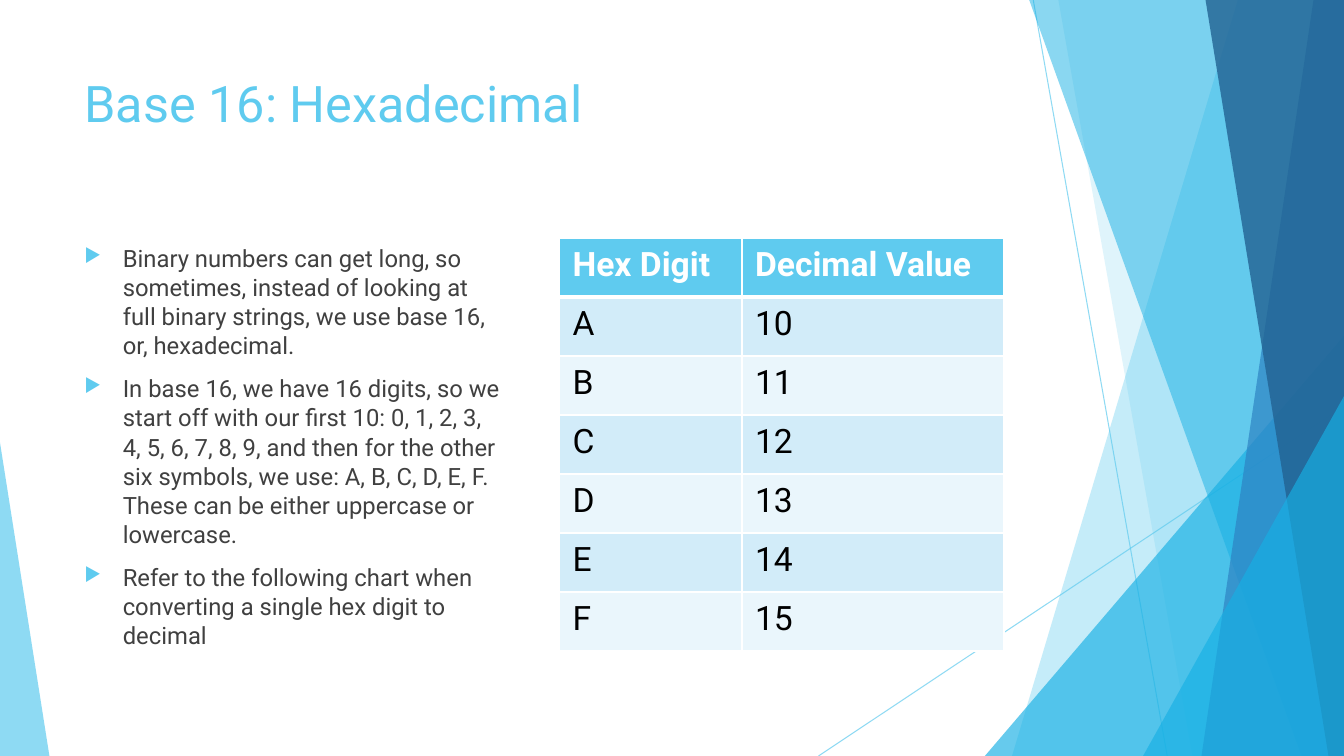
from dataclasses import dataclass

from lxml import etree
from pptx import Presentation
from pptx.dml.color import RGBColor
from pptx.enum.shapes import MSO_CONNECTOR, MSO_SHAPE
from pptx.enum.text import MSO_ANCHOR
from pptx.oxml import parse_xml
from pptx.oxml.ns import qn
from pptx.util import Inches, Pt

STRAIGHT = MSO_CONNECTOR.STRAIGHT
TRIANGLE = MSO_SHAPE.ISOSCELES_TRIANGLE
TOP = MSO_ANCHOR.TOP
FONT = "Roboto"
NS = 'xmlns:a="http://schemas.openxmlformats.org/drawingml/2006/main"'
COLORS = {
    "sky": "5FCBEF", "cyan": "17B0E4", "blue": "2E83C3", "navy": "226292",
    "text": "404040", "black": "000000", "white": "FFFFFF",
    "row_dark": "D2ECF9", "row_light": "EAF6FC",
}

prs = Presentation()
prs.slide_width, prs.slide_height = Inches(13.333), Inches(7.5)
s = prs.slides.add_slide(prs.slide_layouts[6])


# All positions are percentages of the slide's width and height.
@dataclass
class Ray:
    """A thin line between two points."""
    x1: float
    y1: float
    x2: float
    y2: float


@dataclass
class Band:
    """A slanted area reaching from its left edge to the slide's right side."""
    top_x: float
    bottom_x: float
    color: str
    alpha: int


@dataclass
class Wedge:
    """A right triangle standing on the slide's bottom."""
    left: float
    right: float
    top: float
    apex: float
    color: str
    alpha: int


RAYS = [Ray(76.88, 0, 86.85, 100), Ray(100, 53.73, 60.9, 100)]
FACETS = [
    Band(92.1, 75.3, "sky", 36),
    Band(78.75, 88.73, "sky", 20),
    Wedge(73.28, 100, 44.4, 1, "cyan", 66),
    Band(76.58, 96.83, "cyan", 50),
    Band(97.73, 89.4, "blue", 70),
    Band(89.7, 98.85, "navy", 80),
    Wedge(85.05, 100, 52.4, 1, "cyan", 66),
    Wedge(0, 3.68, 58.53, 0, "sky", 70),
]
LEFT, BODY_TOP, BODY_H = 5.55, 31.47, 54.67
TABLE_LEFT, COLUMNS = 41.63, (13.58, 19.5)
HEADERS = ("Hex Digit", "Decimal Value")
DIGITS = "ABCDEF"
BULLETS = [
    "Binary numbers can get long, so sometimes, instead of looking at full "
    "binary strings, we use base 16, or, hexadecimal.",
    "In base 16, we have 16 digits, so we start off with our first 10: 0, 1, "
    "2, 3, 4, 5, 6, 7, 8, 9, and then for the other six symbols, we use: A, B, "
    "C, D, E, F. These can be either uppercase or lowercase.",
    "Refer to the following chart when converting a single hex digit to decimal",
]


def px(share: float) -> int:
    """Turn a percentage of the slide's width into a length."""
    return int(prs.slide_width * share / 100)


def py(share: float) -> int:
    """Turn a percentage of the slide's height into a length."""
    return int(prs.slide_height * share / 100)


def rgb(name: str) -> RGBColor:
    """Look up a colour of the palette."""
    return RGBColor.from_string(COLORS[name])


def set_alpha(parent, alpha: int) -> None:
    """Give the colour inside an element an opacity in percent."""
    color = next(parent.iter(qn("a:srgbClr")))
    etree.SubElement(color, qn("a:alpha")).set("val", str(alpha * 1000))


def draw_ray(ray: Ray) -> None:
    """Draw one thin line."""
    line = s.shapes.add_connector(STRAIGHT, px(ray.x1), py(ray.y1),
                                  px(ray.x2), py(ray.y2))
    line.line.color.rgb = rgb("sky")
    line.line.width = Pt(0.75)
    sp_pr = line._element.spPr
    set_alpha(sp_pr, 70)
    etree.SubElement(sp_pr, qn("a:effectLst"))


def draw_facet(facet: Band | Wedge) -> None:
    """Draw one translucent band or triangle."""
    if isinstance(facet, Band):
        builder = s.shapes.build_freeform(px(facet.top_x), 0)
        builder.add_line_segments([(px(100), 0), (px(100), py(100)),
                                   (px(facet.bottom_x), py(100))])
        sp = builder.convert_to_shape()
    else:
        sp = s.shapes.add_shape(TRIANGLE, px(facet.left), py(facet.top),
                                px(facet.right - facet.left),
                                py(100 - facet.top))
        sp.adjustments[0] = facet.apex
    sp.shadow.inherit = False
    sp.fill.solid()
    sp.fill.fore_color.rgb = rgb(facet.color)
    set_alpha(sp._element.spPr, facet.alpha)
    sp.line.fill.background()


def write(p, text: str, *, size: float, color: str, bold: bool = False) -> None:
    """Add formatted text to a paragraph."""
    r = p.add_run()
    r.text = text
    r.font.name, r.font.size, r.font.bold = FONT, Pt(size), bold
    r.font.color.rgb = rgb(color)


def add_box(left: float, top: float, width: float, height: float):
    """Add a wrapping text box and return its text frame."""
    tf = s.shapes.add_textbox(px(left), py(top), px(width), py(height)).text_frame
    tf.word_wrap = True
    tf.vertical_anchor = TOP
    return tf


def add_bullet(p) -> None:
    """Give a paragraph a triangle bullet and a hanging indent."""
    p.space_before = Pt(10)
    p.line_spacing = 1.02
    p_pr = p._p.get_or_add_pPr()
    p_pr.set("marL", str(Inches(0.38)))
    p_pr.set("indent", str(-Inches(0.38)))
    for xml in (f'<a:buClr {NS}><a:srgbClr val="{COLORS["sky"]}"/></a:buClr>',
                f'<a:buSzPct {NS} val="80000"/>',
                f'<a:buChar {NS} char="\u25b6"/>'):
        p_pr.append(parse_xml(xml))


def style_cell(cell, fill: str, bottom: float) -> None:
    """Set a cell's margins, fill and white borders."""
    cell.margin_left = cell.margin_right = Inches(0.13)
    cell.margin_top = cell.margin_bottom = Inches(0.07)
    cell.fill.solid()
    cell.fill.fore_color.rgb = rgb(fill)
    widths = {"lnL": 1, "lnR": 1, "lnT": 1, "lnB": bottom}
    for i, (side, width) in enumerate(widths.items()):
        cell._tc.tcPr.insert(i, parse_xml(
            f'<a:{side} {NS} w="{Pt(width)}"><a:solidFill>'
            f'<a:srgbClr val="{COLORS["white"]}"/></a:solidFill></a:{side}>'))


def draw_table() -> None:
    """Draw the table of hex digits and their decimal values."""
    rows = [HEADERS] + [(d, str(int(d, 16))) for d in DIGITS]
    table = s.shapes.add_table(len(rows), len(COLUMNS), px(TABLE_LEFT),
                               py(BODY_TOP), px(sum(COLUMNS)), py(BODY_H)).table
    for column, width in zip(table.columns, COLUMNS):
        column.width = px(width)
    for i, row in enumerate(rows):
        head = i == 0
        fill = "sky" if head else ("row_light", "row_dark")[i % 2]
        for j, text in enumerate(row):
            cell = table.cell(i, j)
            style_cell(cell, fill, bottom=3 if head else 1)
            write(cell.text_frame.paragraphs[0], text, size=24, bold=head,
                  color="white" if head else "black")


for ray in RAYS:
    draw_ray(ray)
for facet in FACETS:
    draw_facet(facet)
title = add_box(LEFT, 8.93, 70.5, 19.2)
write(title.paragraphs[0], "Base 16: Hexadecimal", size=36, color="sky")
body = add_box(LEFT, BODY_TOP, 32.48, BODY_H)
for i, text in enumerate(BULLETS):
    p = body.add_paragraph() if i else body.paragraphs[0]
    add_bullet(p)
    write(p, text, size=17, color="text")
draw_table()
prs.save("out.pptx")
